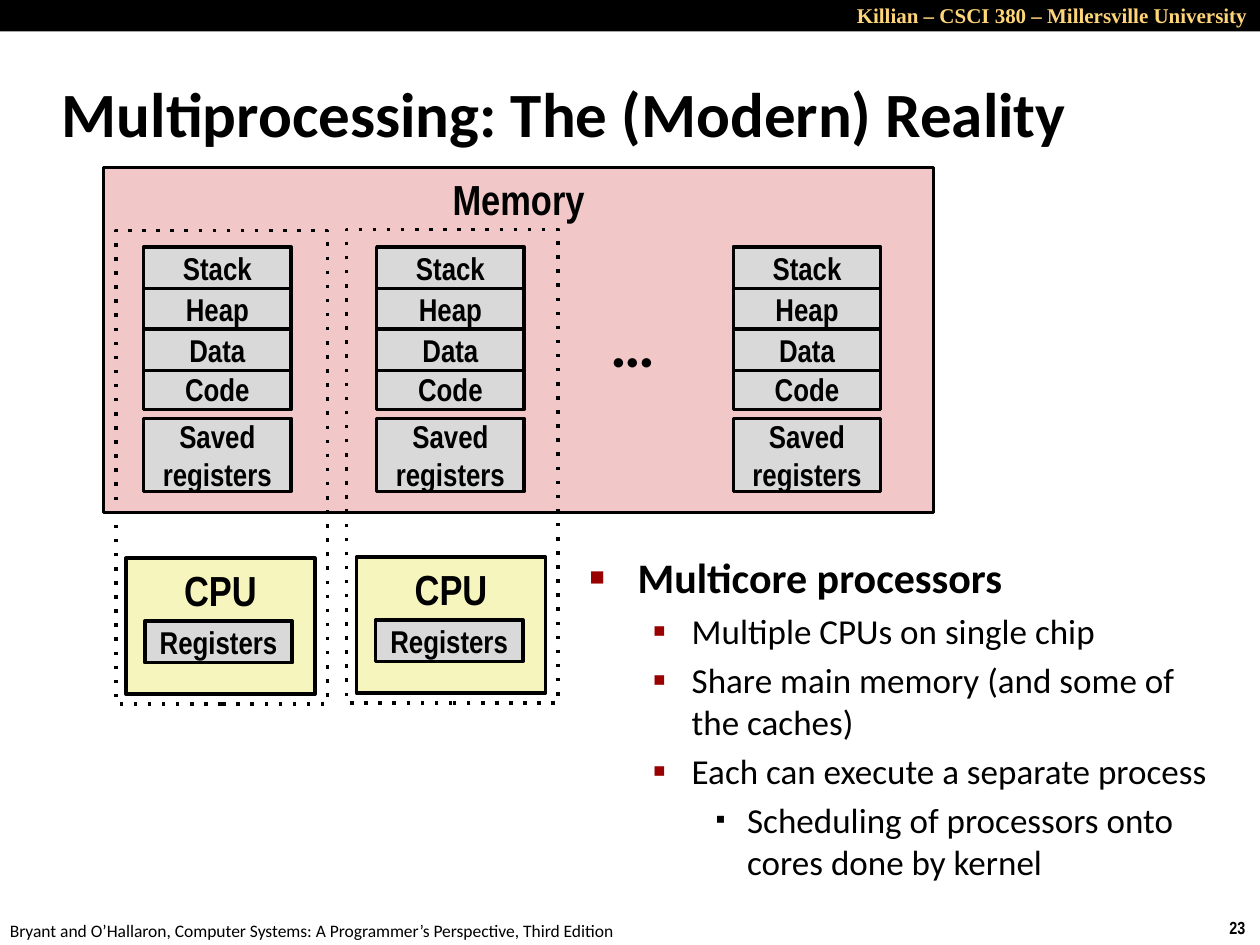
from lxml.etree import SubElement
from pptx import Presentation
from pptx.dml.color import RGBColor
from pptx.enum.shapes import MSO_SHAPE as Shape
from pptx.enum.text import MSO_ANCHOR as Anchor, MSO_AUTO_SIZE as AutoSize, PP_ALIGN as Align
from pptx.oxml.ns import qn
from pptx.util import Inches, Pt

COLORS = {
    "black": "000000", "header": "FFD579", "memory": "F1C7C7",
    "cpu": "F6F5BD", "block": "D9D9D9", "bullet": "990000",
}
SEGMENTS = {  # name: (top, height)
    "Stack": (1.96, 0.33), "Heap": (2.29, 0.33), "Code": (2.92, 0.33),
    "Data": (2.61, 0.33), "Saved registers": (3.32, 0.58),
}
PROCESS_LEFTS = (1.14, 2.99, 5.82)
CORE_ORIGINS = ((0.92, 1.83), (2.75, 1.82))
LEVELS = (
    {"indent": 0.38, "hanging": 0.38, "char": "■", "scale": 60,
     "color": "bullet", "size": 24, "bold": True},
    {"indent": 0.81, "hanging": 0.31, "char": "▪", "scale": 110,
     "color": "bullet", "size": 20, "bold": False},
    {"indent": 1.25, "hanging": 0.25, "char": "▪", "scale": 80,
     "color": "black", "size": 20, "bold": False},
)
POINTS = (
    (0, "Multicore processors"),
    (1, "Multiple CPUs on single chip"),
    (1, "Share main memory (and some of the caches)"),
    (1, "Each can execute a separate process"),
    (2, "Scheduling of processors onto cores done by kernel"),
)


def rgb(name):
    return RGBColor.from_string(COLORS[name])


def format_font(font, size, name="Calibri", bold=True, color="black"):
    values = {"size": Pt(size), "name": name, "bold": bold}
    for attribute, value in values.items():
        setattr(font, attribute, value)
    font.color.rgb = rgb(color)


def place(shape, left, top, width, height):
    box = {"left": left, "top": top, "width": width, "height": height}
    for attribute, value in box.items():
        setattr(shape, attribute, Inches(value))


def add_box(slide, left, top, width, height, fill=None, text="", size=18,
            anchor=Anchor.MIDDLE, outlined=True):
    box = slide.shapes.add_shape(
        Shape.RECTANGLE, Inches(left), Inches(top), Inches(width), Inches(height))
    box.shadow.inherit = False
    if fill:
        box.fill.solid()
        box.fill.fore_color.rgb = rgb(fill)
    else:
        box.fill.background()
    if outlined:
        box.line.color.rgb = rgb("black")
        box.line.width = Pt(2)
    else:
        box.line.fill.background()
    if text:
        frame = box.text_frame
        frame.word_wrap = True
        frame.vertical_anchor = anchor
        frame.text = text
        frame.paragraphs[0].alignment = Align.CENTER
        format_font(frame.paragraphs[0].runs[0].font, size, "Arial Narrow")
    return box


def add_label(slide, left, top, width, height, text, size, align=Align.LEFT,
              wrap=False, **style):
    label = slide.shapes.add_textbox(
        Inches(left), Inches(top), Inches(width), Inches(height))
    frame = label.text_frame
    frame.word_wrap = wrap
    frame.text = text
    frame.paragraphs[0].alignment = align
    format_font(frame.paragraphs[0].runs[0].font, size, **style)


def add_process(slide, left):
    """Stack the memory segments of one process."""
    for name, (top, height) in SEGMENTS.items():
        add_box(slide, left, top, 1.17, height, "block", name)


def add_core(slide, left, top):
    """Draw a CPU and the dotted frame tying it to its process."""
    add_box(slide, left + 0.08, top + 2.6, 1.5, 1.08, "cpu", "CPU", 24, Anchor.TOP)
    add_box(slide, left + 0.23, top + 3.1, 1.17, 0.33, "block", "Registers")
    frame = add_box(slide, left, top, 1.68, 3.76)
    outline = frame.element.spPr.find(qn("a:ln"))
    SubElement(outline, qn("a:prstDash"), val="dot")


def set_bullet(paragraph, level):
    properties = paragraph._p.get_or_add_pPr()
    properties.set("marL", str(Inches(level["indent"])))
    properties.set("indent", str(-Inches(level["hanging"])))
    color = SubElement(properties, qn("a:buClr"))
    SubElement(color, qn("a:srgbClr"), val=COLORS[level["color"]])
    SubElement(properties, qn("a:buSzPct"), val=str(level["scale"] * 1000))
    SubElement(properties, qn("a:buChar"), char=level["char"])


def fill_title(title):
    place(title, 0.39, 0.48, 9.28, 0.83)
    frame = title.text_frame
    frame.text = "Multiprocessing: The (Modern) Reality"
    frame.auto_size = AutoSize.NONE
    frame.vertical_anchor = Anchor.MIDDLE
    frame.paragraphs[0].alignment = Align.LEFT
    format_font(frame.paragraphs[0].runs[0].font, 36)


def fill_points(body):
    place(body, 4.58, 4.33, 5.17, 2.92)
    frame = body.text_frame
    frame.auto_size = AutoSize.NONE
    for index, (depth, text) in enumerate(POINTS):
        paragraph = frame.add_paragraph() if index else frame.paragraphs[0]
        paragraph.text = text
        paragraph.level = depth
        level = LEVELS[depth]
        set_bullet(paragraph, level)
        format_font(paragraph.runs[0].font, level["size"], bold=level["bold"])


def add_page_furniture(slide):
    add_box(slide, 0, 0, 10, 0.25, "black", outlined=False)
    add_label(slide, 5.83, -0.03, 4.17, 0.3,
              "Killian – CSCI 380 – Millersville University", 12, Align.RIGHT,
              wrap=True, name="Times New Roman", color="header")
    add_label(slide, 9.66, 7.23, 0.34, 0.27, "23", 10, name="Arial Narrow")
    add_label(slide, -0.02, 7.25, 5.08, 0.27,
              "Bryant and O’Hallaron, Computer Systems: "
              "A Programmer’s Perspective, Third Edition", 10, bold=False)


def main():
    deck = Presentation()
    deck.slide_width, deck.slide_height = Inches(10), Inches(7.5)
    slide = deck.slides.add_slide(deck.slide_layouts[1])
    add_page_furniture(slide)
    fill_title(slide.shapes.title)
    fill_points(slide.placeholders[1])
    add_box(slide, 0.82, 1.33, 6.59, 2.74, "memory", "Memory", 24, Anchor.TOP)
    for left in PROCESS_LEFTS:
        add_process(slide, left)
    add_label(slide, 4.75, 2.37, 0.56, 0.71, "…", 36)
    for left, top in CORE_ORIGINS:
        add_core(slide, left, top)
    deck.save("out.pptx")


if __name__ == "__main__":
    main()
